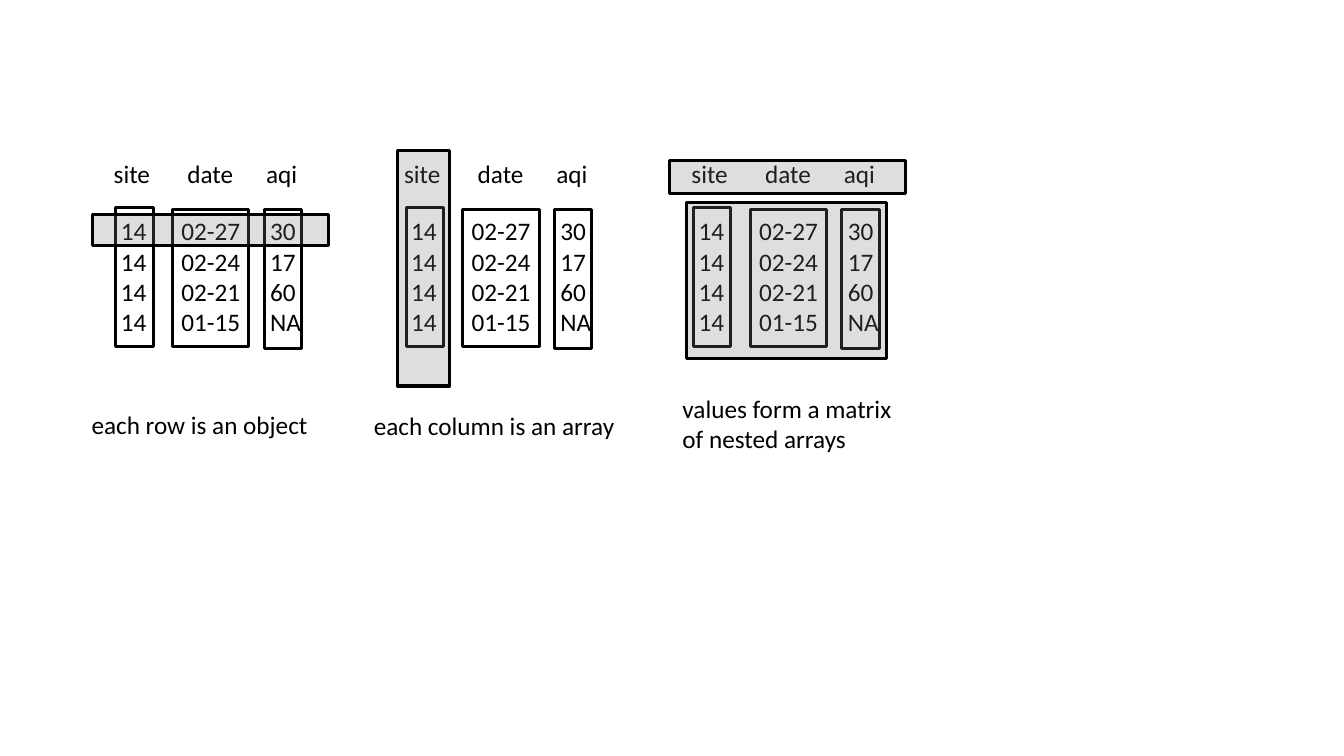
from dataclasses import dataclass

from lxml import etree
from pptx import Presentation
from pptx import util as u
from pptx.dml.color import RGBColor
from pptx.enum import shapes, text
from pptx.oxml.ns import qn


@dataclass(frozen=True)
class Theme:
    """Colours, font, sizes and the grid cell in inches."""
    ink: str = "000000"
    shade: str = "7C7C7C"
    alpha: int = 25
    font: str = "Calibri"
    size: float = 18
    line: float = 2.25
    cell: float = 0.1


class Board:
    """Draws on the current slide in grid columns and rows."""

    def __init__(self, slide, theme):
        """Keep the slide and the theme."""
        self.slide = slide
        self.theme = theme

    def place(self, *cells):
        """Turn grid cells into lengths."""
        return [u.Inches(c * self.theme.cell) for c in cells]

    def box(self, col, row, cols, rows, shaded=False):
        """Add an outlined rectangle, optionally with a translucent fill."""
        sp = self.slide.shapes.add_shape(
            shapes.MSO_SHAPE.RECTANGLE, *self.place(col, row, cols, rows))
        sp.shadow.inherit = False
        sp.line.color.rgb = RGBColor.from_string(self.theme.ink)
        sp.line.width = u.Pt(self.theme.line)
        if shaded:
            sp.fill.solid()
            sp.fill.fore_color.rgb = RGBColor.from_string(self.theme.shade)
            color = sp.element.spPr.find(qn("a:solidFill"))[0]
            etree.SubElement(color, qn("a:alpha"), val=str(self.theme.alpha * 1000))
        else:
            sp.fill.background()

    def label(self, col, row, cols, rows, lines):
        """Add unwrapped text with one paragraph per line."""
        sp = self.slide.shapes.add_textbox(*self.place(col, row, cols, rows))
        tf = sp.text_frame
        tf.text = "\n".join(lines)
        tf.word_wrap = False
        tf.auto_size = text.MSO_AUTO_SIZE.SHAPE_TO_FIT_TEXT
        for p in tf.paragraphs:
            for r in p.runs:
                r.font.name = self.theme.font
                r.font.size = u.Pt(self.theme.size)
                r.font.color.rgb = RGBColor.from_string(self.theme.ink)

    def panel(self, col, columns):
        """Add one data table made of boxed columns under headers."""
        for c in columns:
            self.box(col + c.box, c.top, c.box_cols, c.box_rows)
            self.label(col + c.values, 20.9, c.value_cols, 13.1, c.data)
            self.label(col + c.head, 15.2, c.head_cols, 4, [c.name])


@dataclass(frozen=True)
class Column:
    """One data column, with offsets from the left of its panel."""
    name: str
    data: tuple
    head: float
    head_cols: float
    box: float
    box_cols: float
    top: float
    box_rows: float
    values: float
    value_cols: float


COLUMNS = (
    Column("site", ("14",) * 4, 0, 5.7, 1.2, 3.7, 20.6, 13.8, 0.7, 4.6),
    Column("date", ("02-27", "02-24", "02-21", "01-15"),
           7.3, 6.6, 6.8, 7.6, 20.8, 13.6, 6.7, 7.9),
    Column("aqi", ("30", "17", "60", "NA"),
           15.1, 5.1, 15.9, 3.7, 20.8, 13.8, 15.5, 5.1),
)
PANELS = (10.3, 39.1, 67.6)
HIGHLIGHTS = (
    (9.2, 21.3, 23.4, 3.1),
    (39.4, 14.9, 5.2, 23.4),
    (68.1, 20.1, 19.8, 15.5),
    (66.4, 15.9, 23.4, 3.3),
)
CAPTIONS = (
    (8.1, 40.1, 24.3, 4, ["each row is an object"]),
    (36.1, 40.2, 27.3, 4, ["each column is an array"]),
    (66.7, 38.5, 23.5, 7.1, ["values form a matrix", "of nested arrays"]),
)


def main():
    """Build and save the slide."""
    prs = Presentation()
    prs.slide_width, prs.slide_height = u.Inches(13.33), u.Inches(7.5)
    s = prs.slides.add_slide(prs.slide_layouts[6])
    board = Board(s, Theme())
    for col in PANELS:
        board.panel(col, COLUMNS)
    for area in HIGHLIGHTS:
        board.box(*area, shaded=True)
    for caption in CAPTIONS:
        board.label(*caption)
    prs.save("out.pptx")


if __name__ == "__main__":
    main()
